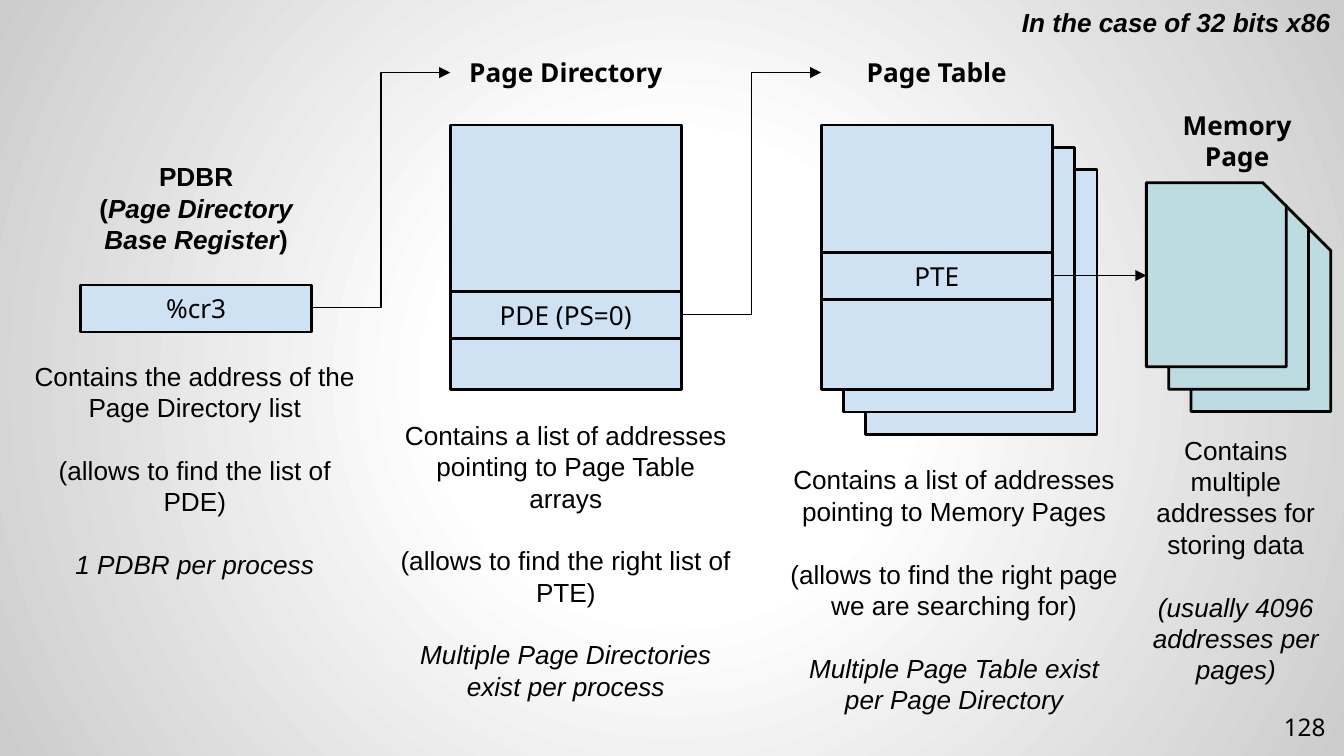
from lxml import etree
from pptx import Presentation
from pptx.dml.color import RGBColor
from pptx.enum.shapes import MSO_CONNECTOR, MSO_SHAPE
from pptx.enum.text import MSO_ANCHOR, PP_ALIGN
from pptx.oxml import parse_xml
from pptx.oxml.ns import nsdecls, qn
from pptx.util import Inches, Pt

BLACK = RGBColor(0x00, 0x00, 0x00)
BLUE = RGBColor(0xCF, 0xE2, 0xF3)
TEAL = RGBColor(0xBC, 0xDC, 0xE1)
RECT, SNIP = MSO_SHAPE.RECTANGLE, MSO_SHAPE.SNIP_1_RECTANGLE
ELBOW, LINE = MSO_CONNECTOR.ELBOW, MSO_CONNECTOR.STRAIGHT
TOP, MID, LOW = MSO_ANCHOR.TOP, MSO_ANCHOR.MIDDLE, MSO_ANCHOR.BOTTOM
MIDDLE, RIGHT = PP_ALIGN.CENTER, PP_ALIGN.RIGHT
SANS, NOTO = "Arial", "Noto Sans"

# Square grid: 100 columns by 56.25 rows
COLS, ROWS = 100, 56.25
UNIT = Inches(0.1)
CELL_W, CELL_H = 17.2, 3.5   # a register or table entry
TABLE_H = 19.7               # a whole table
STEP = 1.66                  # offset between stacked sheets
NOTE_W = 26.8                # text under a table
LEAD = 1.2                   # line height per point of text

BACK = f"""<p:bg {nsdecls('p', 'a')}><p:bgPr><a:gradFill rotWithShape="0"><a:gsLst>
<a:gs pos="0"><a:srgbClr val="FFFFFF"/></a:gs>
<a:gs pos="30000"><a:srgbClr val="FFFFFF"/></a:gs>
<a:gs pos="100000"><a:srgbClr val="CCCCCC"/></a:gs></a:gsLst>
<a:path path="circle"><a:fillToRect l="50000" t="50000" r="50000" b="50000"/></a:path>
</a:gradFill><a:effectLst/></p:bgPr></p:bg>"""


def grid(*nums):
    return [round(n * UNIT) for n in nums]


def write(frame, paras, font=SANS, size=14, align=MIDDLE, anchor=TOP, pad=None):
    """Each paragraph is a list of (text, bold, italic); None breaks the line."""
    frame.word_wrap = True
    frame.vertical_anchor = anchor
    if pad is not None:
        frame.margin_top = frame.margin_bottom = round(pad * UNIT)
    for i, runs in enumerate(paras):
        para = frame.add_paragraph() if i else frame.paragraphs[0]
        para.alignment = align
        para.line_spacing = Pt(size * LEAD)
        para.space_before = Pt(size * LEAD if i else 0)
        for part in runs:
            if part is None:
                para.add_line_break()
                continue
            run = para.add_run()
            run.text, run.font.bold, run.font.italic = part
            run.font.name, run.font.size = font, Pt(size)
            run.font.color.rgb = BLACK


def label(slide, box, paras, **style):
    write(slide.shapes.add_textbox(*grid(*box)).text_frame, paras, **style)


def block(slide, box, fill=BLUE, kind=RECT, text=None):
    shape = slide.shapes.add_shape(kind, *grid(*box))
    shape.shadow.inherit = False
    shape.fill.solid()
    shape.fill.fore_color.rgb = fill
    shape.line.color.rgb = BLACK
    shape.line.width = Pt(1.5)
    if text:
        write(shape.text_frame, [[(text, False, False)]], NOTO, anchor=MID, pad=1)


def stack(slide, box, count, fill=BLUE, kind=RECT):
    x, y, w, h = box
    for i in reversed(range(count)):
        block(slide, (x + i * STEP, y + i * STEP, w, h), fill, kind)


def arrow(slide, kind, start, end):
    link = slide.shapes.add_connector(kind, *grid(*start, *end))
    link.line.color.rgb = BLACK
    link.line.width = Pt(0.75)
    etree.SubElement(link.line._get_or_add_ln(), qn("a:tailEnd"), type="triangle")
    etree.SubElement(link._element.spPr, qn("a:effectLst"))


def note(slide, box, plain, slant):
    paras = [[(text, False, False)] for text in plain]
    label(slide, box, paras + [[(slant, False, True)]])


def base(slide, box):
    """Register with its heading and note."""
    x, y, w, h = box
    block(slide, box, text="%cr3")
    note(slide, (x - 4.9, y + 5.1, NOTE_W, 17.5),
         ["Contains the address of the Page Directory list",
          "(allows to find the list of PDE)"], "1 PDBR per process")
    label(slide, (x - 1.9, y - 9.8, 21, 8.1),
          [[("PDBR", True, False), None, ("(", True, False),
            ("Page Directory Base Register", True, True), (")", True, False)]],
          anchor=MID)


def table(slide, box, head, entry, drop, count, plain, slant, shift):
    """Stacked table with one entry, a heading and a note."""
    x, y, w, h = box
    stack(slide, box, count)
    block(slide, (x, y + drop, w, CELL_H), text=entry)
    label(slide, (x, y - 6, w, 4.2), [[(head, True, False)]],
          font=NOTO, anchor=LOW, pad=1)
    note(slide, (x + shift, y + h + 1.7 + (count - 1) * STEP, NOTE_W, 20),
         plain, slant)


def pages(slide, box):
    """Stacked memory pages with heading and note."""
    x, y, w, h = box
    stack(slide, box, 3, TEAL, SNIP)
    label(slide, (x - 0.8, y - 4.7, 15.1, 3.1), [[("Memory Page", True, False)]],
          font=NOTO, anchor=MID, pad=1)
    note(slide, (x - 0.6, y + 18.2, 14.5, 19.9),
         ["Contains multiple addresses for storing data"],
         "(usually 4096 addresses per pages)")


def links(slide):
    arrow(slide, ELBOW, (23.2, 22.9), (33.5, 5.4))
    arrow(slide, ELBOW, (50.7, 23.4), (61.1, 5.4))
    arrow(slide, LINE, (78.3, 20.5), (85.3, 20.5))


def main():
    deck = Presentation()
    deck.slide_width, deck.slide_height = grid(COLS, ROWS)
    slide = deck.slides.add_slide(deck.slide_layouts[6])
    slide.element.cSld.insert(0, parse_xml(BACK))

    label(slide, (93.6, 51.9, 6, 4.3), [[("128", False, False)]],
          font=NOTO, size=13, align=RIGHT, anchor=MID, pad=1)
    base(slide, (6, 21.2, CELL_W, CELL_H))
    table(slide, (33.5, 9.3, CELL_W, TABLE_H), "Page Directory", "PDE (PS=0)",
          12.4, 1,
          ["Contains a list of addresses pointing to Page Table arrays",
           "(allows to find the right list of PTE)"],
          "Multiple Page Directories exist per process", -4.8)
    table(slide, (61.1, 9.3, CELL_W, TABLE_H), "Page Table", "PTE", 9.5, 3,
          ["Contains a list of addresses pointing to Memory Pages",
           "(allows to find the right page we are searching for)"],
          "Multiple Page Table exist per Page Directory", -3.5)
    links(slide)
    pages(slide, (85.3, 13.6, 10.4, 13.7))
    label(slide, (74.6, 0, 25.4, 3.4),
          [[("In the case of 32 bits x86", True, True)]], align=RIGHT)
    deck.save("out.pptx")


if __name__ == "__main__":
    main()
